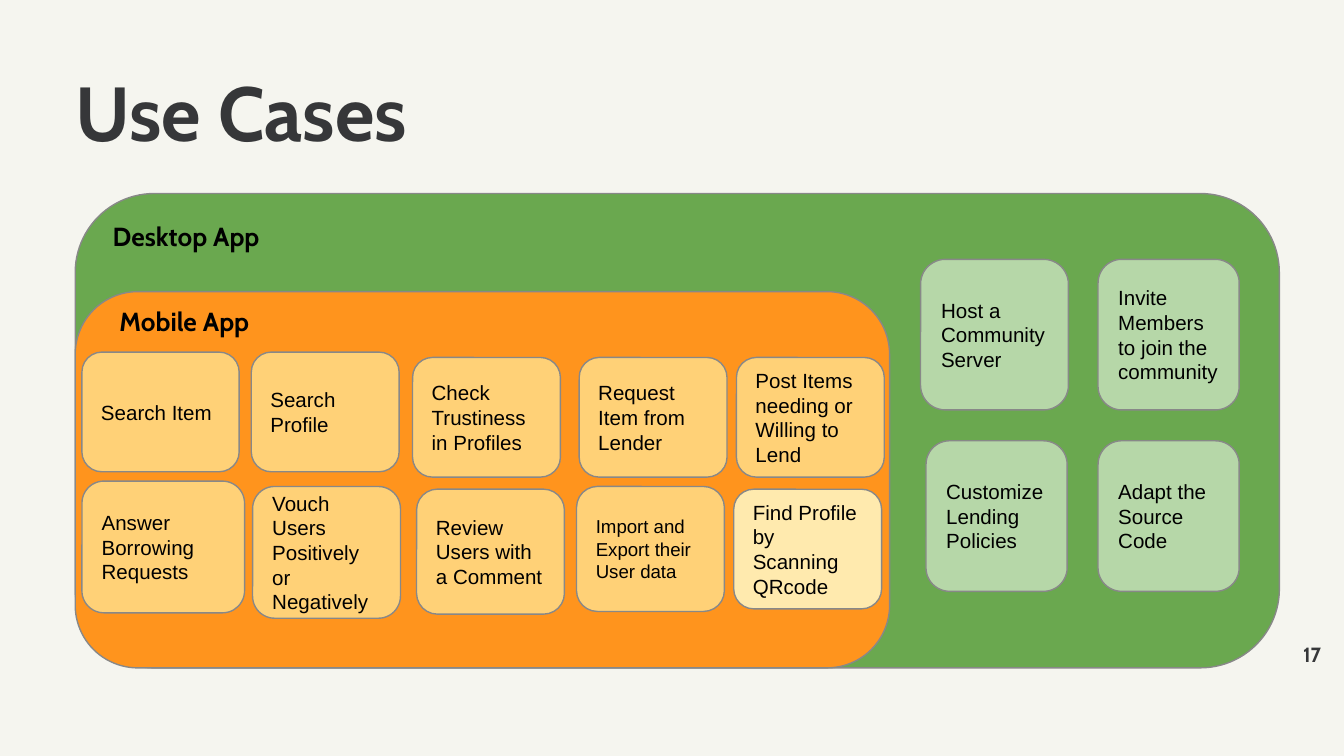
from pptx import Presentation
from pptx.dml.color import RGBColor
from pptx.enum.shapes import MSO_SHAPE
from pptx.enum.text import MSO_ANCHOR, PP_ALIGN
from pptx.util import Inches, Pt

ROUNDED = MSO_SHAPE.ROUNDED_RECTANGLE
TOP, MIDDLE = MSO_ANCHOR.TOP, MSO_ANCHOR.MIDDLE
LEFT, RIGHT = PP_ALIGN.LEFT, PP_ALIGN.RIGHT

# The slide is 16:9, laid out on square cells, 1000 across its width.
CELL = Inches(0.01)
WIDTH = 1000 * CELL
HEIGHT = WIDTH * 9 // 16
PADDING = 10
INK, BLACK = "363739", "000000"
GREEN, PALE_GREEN = "6AA84F", "B6D7A8"
ORANGE, AMBER, CREAM = "FF941D", "FFD177", "FFEAAE"


def write(box, lines, size, font="Arial", color=BLACK, bold=False,
          anchor=TOP, align=LEFT, padding=PADDING):
    frame = box.text_frame
    frame.word_wrap = True
    frame.vertical_anchor = anchor
    frame.margin_left = frame.margin_right = padding * CELL
    frame.margin_top = frame.margin_bottom = padding * CELL
    frame.text = lines
    for para in frame.paragraphs:
        para.alignment = align
        para.font.name = font
        para.font.size = Pt(size)
        para.font.bold = bold
        para.font.color.rgb = RGBColor.from_string(color)


def add_panel(page, area, fill):
    """Add a rounded, thinly outlined panel; area is in grid cells."""
    panel = page.shapes.add_shape(ROUNDED, *(n * CELL for n in area))
    panel.shadow.inherit = False
    panel.fill.solid()
    panel.fill.fore_color.rgb = RGBColor.from_string(fill)
    panel.line.color.rgb = RGBColor.from_string("888888")
    panel.line.width = Pt(0.75)
    return panel


deck = Presentation()
deck.slide_width, deck.slide_height = WIDTH, HEIGHT
page = deck.slides.add_slide(deck.slide_layouts[6])
page.background.fill.solid()
page.background.fill.fore_color.rgb = RGBColor.from_string("F5F5EF")

# Nested areas: the mobile app is part of the desktop app
add_panel(page, (56, 144, 896, 353), GREEN)
add_panel(page, (56, 217, 606, 280), ORANGE)

# Title, area names and page number
title = page.shapes.add_textbox(*(n * CELL for n in (56, 56, 709, 79)))
write(title, "Use Cases", 41, "Cabin", INK, True, padding=0)
title.text_frame.paragraphs[0].line_spacing = 0.9

for name, area in (("Desktop App", (74, 154, 147, 44)),
                   ("Mobile App", (79, 217, 117, 44))):
    label = page.shapes.add_textbox(*(n * CELL for n in area))
    write(label, name, 14, "Cabin", bold=True)

number = page.shapes.add_textbox(*(n * CELL for n in (923, 477, 60, 20)))
write(number, "17", 11, "Cabin", INK, True, MIDDLE, RIGHT, padding=0)

# Use cases: text, (left, top, width, height), fill, text size
use_cases = (
    ("Search Item", (61, 262, 117, 89), AMBER, 11),
    ("Search Profile", (187, 262, 110, 89), AMBER, 11),
    ("Check Trustiness in Profiles", (307, 266, 110, 89), AMBER, 11),
    ("Request Item from Lender", (431, 266, 110, 89), AMBER, 11),
    ("Post Items needing or Willing to Lend", (548, 266, 110, 89), AMBER, 11),
    ("Answer Borrowing Requests", (61, 358, 121, 98), AMBER, 11),
    ("Vouch Users Positively or Negatively", (188, 362, 110, 98), AMBER, 11),
    ("Review Users with a Comment", (310, 364, 110, 93), AMBER, 11),
    ("Import and\nExport their User data", (429, 362, 110, 93), AMBER, 10),
    ("Find Profile by Scanning QRcode", (546, 364, 110, 89), CREAM, 11),
    ("Host a Community Server", (685, 193, 110, 112), PALE_GREEN, 11),
    ("Invite Members to join the community", (817, 193, 105, 112), PALE_GREEN, 11),
    ("Customize Lending Policies", (689, 328, 105, 112), PALE_GREEN, 11),
    ("Adapt the Source Code", (817, 328, 105, 112), PALE_GREEN, 11),
)
for text, area, fill, size in use_cases:
    write(add_panel(page, area, fill), text, size, anchor=MIDDLE)

deck.save("out.pptx")
